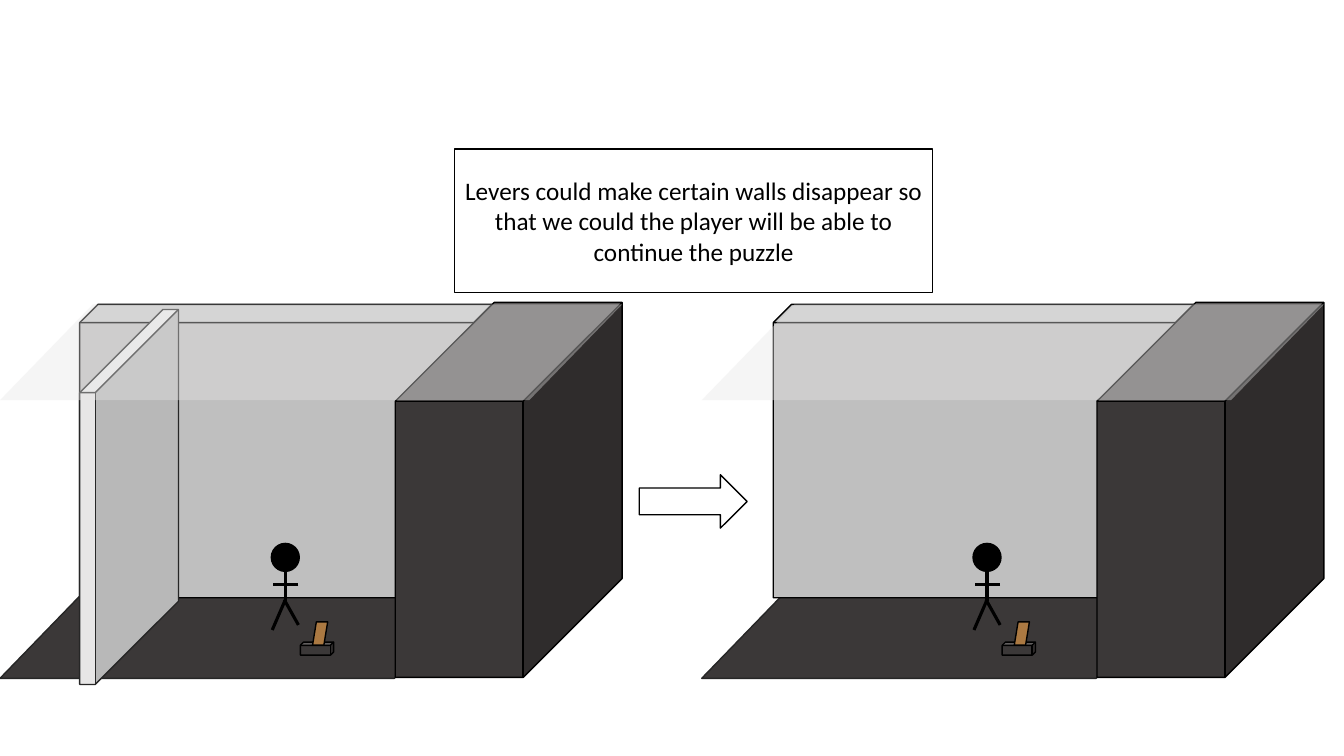
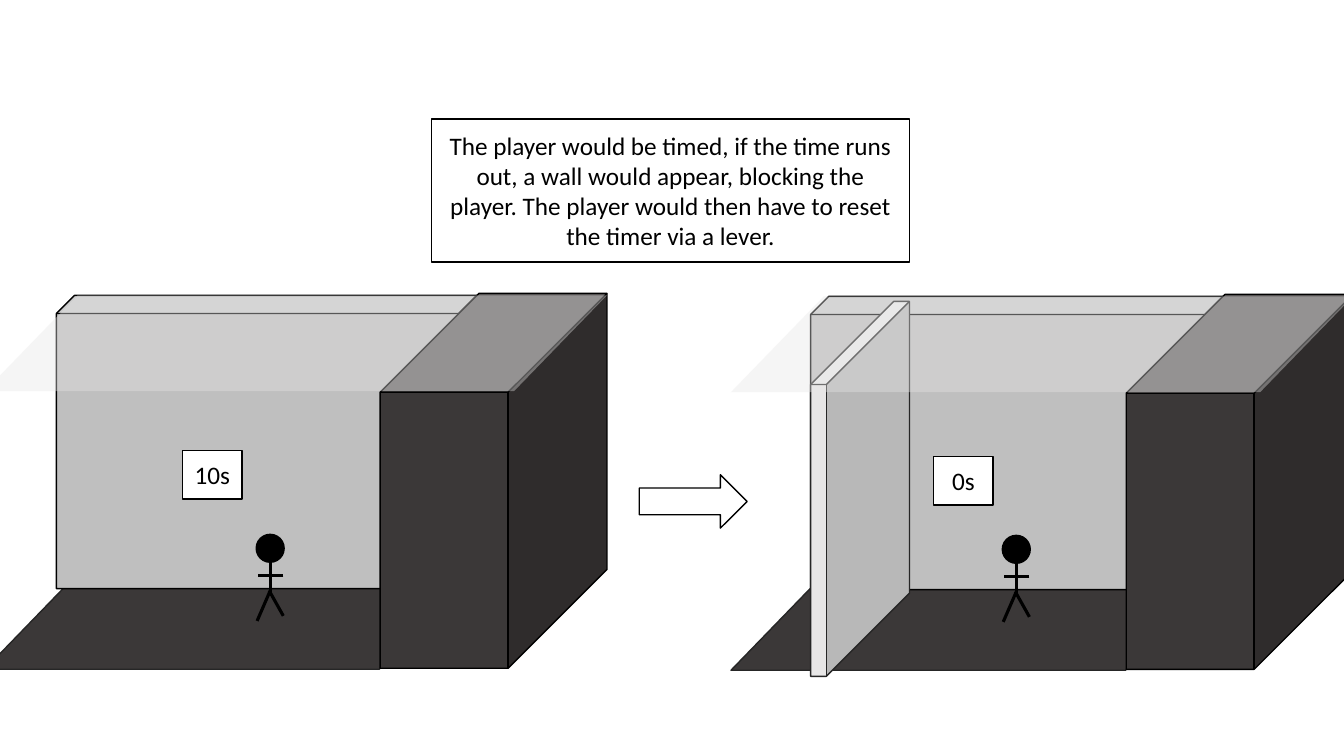
from dataclasses import dataclass
from typing import Optional

from lxml.etree import SubElement
from pptx import Presentation
from pptx.dml.color import RGBColor
from pptx.enum.shapes import MSO_CONNECTOR, MSO_SHAPE
from pptx.enum.text import MSO_ANCHOR, PP_ALIGN
from pptx.oxml.ns import qn
from pptx.util import Inches, Pt

# Shared look
FONT = "Calibri"
BLACK, WHITE = "000000", "FFFFFF"
STONE, EDGE = "3B3838", "262626"
BACK_WALL, PALE, WOOD = "BFBFBF", "E7E6E6", "AB7942"
ROOF_OPACITY = 38
THIN, THICK = 1, 2.25


@dataclass(frozen=True)
class Part:
    kind: MSO_SHAPE
    left: float
    top: float
    width: float
    height: float
    fill: str
    line: Optional[str] = BLACK
    weight: float = THIN
    adjust: Optional[float] = None
    opacity: int = 100


@dataclass(frozen=True)
class Room:
    left: float
    top: float
    barrier: bool = False
    lever: bool = False


@dataclass(frozen=True)
class Label:
    text: str
    left: float
    top: float
    width: float
    height: float


@dataclass(frozen=True)
class Scene:
    rooms: tuple[Room, ...]
    labels: tuple[Label, ...]


# Room parts, measured from the top left corner of the room
FLOOR = Part(MSO_SHAPE.PARALLELOGRAM, 0, 2.73, 4.88, 1, STONE, EDGE, adjust=0.969)
WALL_BEHIND_BARRIER = Part(MSO_SHAPE.CUBE, 0.79, 0.02, 4.09, 2.91, BACK_WALL, adjust=0.062)
OPEN_WALL = Part(MSO_SHAPE.CUBE, 0.71, 0.02, 4.17, 2.91, BACK_WALL, adjust=0.062)
BARRIER = Part(MSO_SHAPE.CUBE, 0.79, 0.07, 0.98, 3.72, PALE, EDGE, adjust=0.842)
HEAD = Part(MSO_SHAPE.OVAL, 2.7, 2.4, 0.26, 0.26, BLACK, weight=THICK)
LEVER = (
    Part(MSO_SHAPE.CUBE, 2.98, 3.37, 0.33, 0.13, STONE),
    Part(MSO_SHAPE.PARALLELOGRAM, 3.1, 3.17, 0.15, 0.23, WOOD),
)
BLOCK = Part(MSO_SHAPE.CUBE, 3.92, 0, 2.25, 3.72, STONE, adjust=0.436)
ROOF = Part(MSO_SHAPE.PARALLELOGRAM, 0, 0.02, 6.17, 0.95, PALE, None,
            adjust=0.969, opacity=ROOF_OPACITY)
ARROW = Part(MSO_SHAPE.RIGHT_ARROW, 6.34, 4.71, 1.07, 0.53, WHITE)

# Body, left leg, arms and right leg: start x, start y, end x, end y
LIMBS = (
    (2.83, 2.66, 2.83, 2.96),
    (2.83, 2.95, 2.7, 3.25),
    (2.96, 2.8, 2.71, 2.8),
    (2.82, 2.95, 2.96, 3.2),
)


def color(value: str) -> RGBColor:
    return RGBColor.from_string(value)


def draw_part(shapes, part: Part, left: float = 0, top: float = 0):
    shape = shapes.add_shape(part.kind, Inches(left + part.left), Inches(top + part.top),
                             Inches(part.width), Inches(part.height))
    shape.shadow.inherit = False
    if part.adjust is not None:
        shape.adjustments[0] = part.adjust
    shape.fill.solid()
    shape.fill.fore_color.rgb = color(part.fill)
    if part.opacity < 100:
        fill_color = shape.fill._xPr.find(qn("a:solidFill"))[0]
        SubElement(fill_color, qn("a:alpha"), val=str(part.opacity * 1000))
    if part.line is None:
        shape.line.fill.background()
    else:
        shape.line.color.rgb = color(part.line)
        shape.line.width = Pt(part.weight)
    return shape


def draw_limb(shapes, limb: tuple[float, ...], left: float, top: float) -> None:
    start_x, start_y, end_x, end_y = limb
    line = shapes.add_connector(MSO_CONNECTOR.STRAIGHT,
                                Inches(left + start_x), Inches(top + start_y),
                                Inches(left + end_x), Inches(top + end_y))
    line.line.color.rgb = color(BLACK)
    line.line.width = Pt(THICK)
    SubElement(line._element.spPr, qn("a:effectLst"))


def write_text(shape, text: str, *, size: float = 18, ink: str = BLACK,
               align: PP_ALIGN = PP_ALIGN.CENTER) -> None:
    frame = shape.text_frame
    frame.word_wrap = True
    frame.vertical_anchor = MSO_ANCHOR.MIDDLE
    para = frame.paragraphs[0]
    para.alignment = align
    span = para.add_run()
    span.text = text
    span.font.name = FONT
    span.font.size = Pt(size)
    span.font.color.rgb = color(ink)


def draw_room(page, room: Room) -> None:
    shapes = page.shapes.add_group_shape().shapes
    walls = (WALL_BEHIND_BARRIER, BARRIER) if room.barrier else (OPEN_WALL,)
    for part in (FLOOR, *walls, HEAD):
        draw_part(shapes, part, room.left, room.top)
    for limb in LIMBS:
        draw_limb(shapes, limb, room.left, room.top)
    lever = LEVER if room.lever else ()
    for part in (*lever, BLOCK, ROOF):
        draw_part(shapes, part, room.left, room.top)


def draw_label(page, label: Label) -> None:
    box = draw_part(page.shapes, Part(MSO_SHAPE.RECTANGLE, label.left, label.top,
                                      label.width, label.height, WHITE))
    write_text(box, label.text)


def draw_scene(deck, scene: Scene) -> None:
    page = deck.slides.add_slide(deck.slide_layouts[6])
    for room in scene.rooms:
        draw_room(page, room)
    draw_part(page.shapes, ARROW)
    for label in scene.labels:
        draw_label(page, label)


# Before and after rooms for each puzzle idea
SCENES = (
    Scene(
        rooms=(Room(0, 3, barrier=True, lever=True), Room(6.96, 3, lever=True)),
        labels=(
            Label("Levers could make certain walls disappear so that we could the player "
                  "will be able to continue the puzzle", 4.51, 1.48, 4.74, 1.42),
        ),
    ),
    Scene(
        rooms=(Room(7.25, 2.92, barrier=True), Room(-0.15, 2.91)),
        labels=(
            Label("The player would be timed, if the time runs out, a wall would appear, "
                  "blocking the player. The player would then have to reset the timer "
                  "via a lever.", 4.28, 1.18, 4.74, 1.42),
            Label("10s", 1.81, 4.47, 0.59, 0.48),
            Label("0s", 9.26, 4.53, 0.59, 0.48),
        ),
    ),
)

deck = Presentation()
deck.slide_width = Inches(13.33)
deck.slide_height = Inches(7.5)
for scene in SCENES:
    draw_scene(deck, scene)
deck.save("out.pptx")
